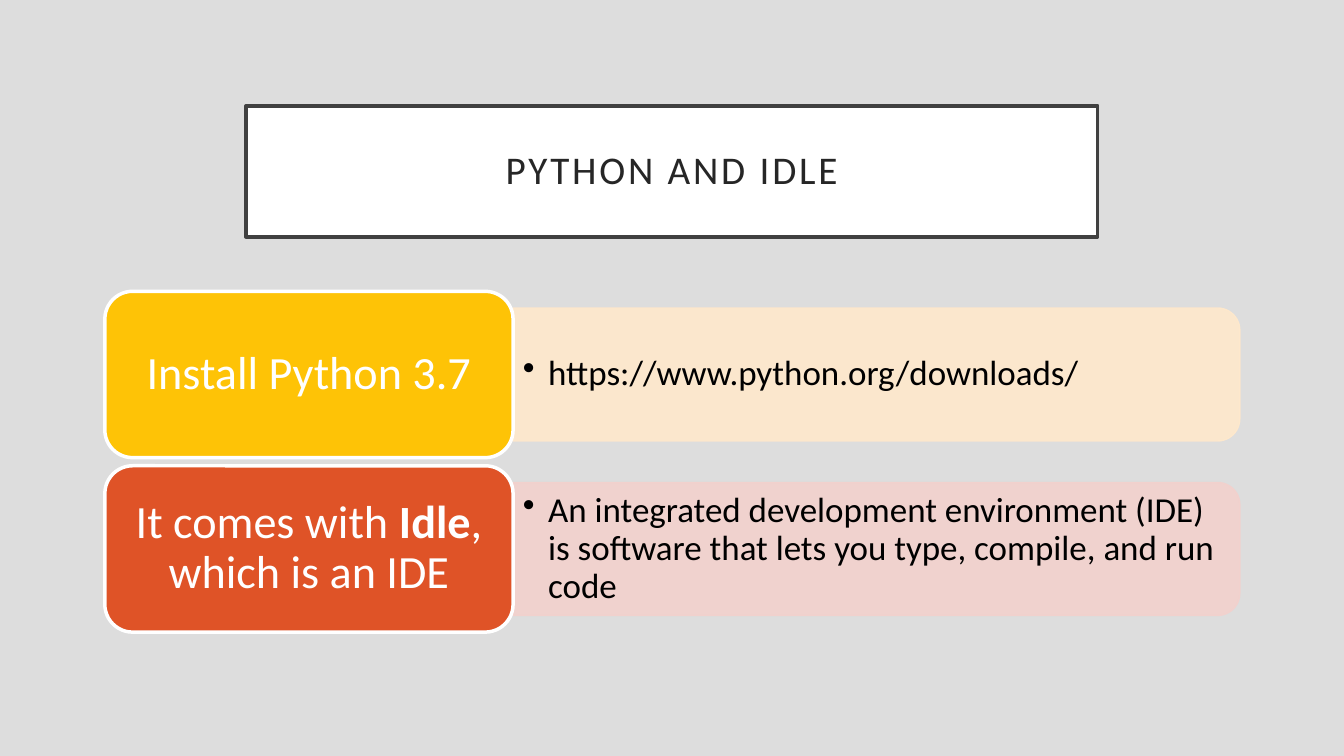
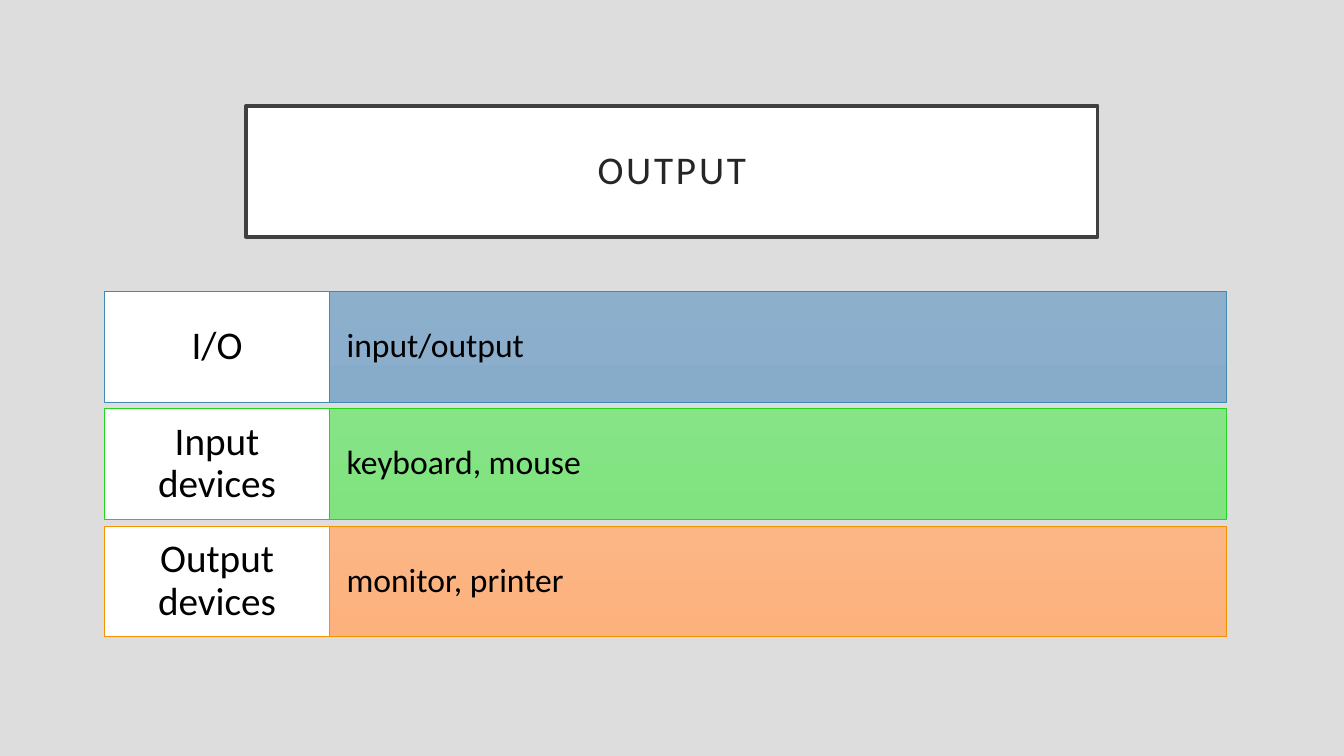
import pptx
import pptx.util
import pptx.dml.color
import pptx.enum.shapes
import pptx.enum.text
import pptx.oxml.ns
from lxml import etree

Pt = pptx.util.Pt
SHAPES = pptx.enum.shapes.MSO_SHAPE
ALIGN = pptx.enum.text.PP_ALIGN
FONT = "Calibri"
COLORS = {
    "page": "DDDDDD", "white": "FFFFFF", "black": "000000",
    "title_line": "404040", "title_text": "262626",
    "gold": "FEC306", "gold_pale": "FFE9CC",
    "red": "DF5327", "red_pale": "F3D1CD",
    "blue": "418AB3", "blue_top": "8CAFCB", "blue_bottom": "87ACCA",
    "green": "25D421", "green_top": "86E386", "green_bottom": "80E37F",
    "orange": "F69200", "orange_top": "FCB585", "orange_bottom": "FDB27E",
}
TITLE_BOX = (175.7, 75.6, 608.4, 93.6)
STEPS_BOX = (74.9, 208.1, 810.7, 243.4)
TERMS_BOX = (74.9, 208.1, 801, 246.8)


def rgb(name):
    return pptx.dml.color.RGBColor.from_string(COLORS[name])


def add_panel(page, kind, box, fill, line, weight):
    """Add a shape; a pair of colour names as fill gives a vertical gradient."""
    panel = page.shapes.add_shape(kind, *map(Pt, box))
    panel.shadow.inherit = False
    if isinstance(fill, tuple):
        panel.fill.gradient()
        panel.fill.gradient_angle = 270
        for stop, name in zip(panel.fill.gradient_stops, fill):
            stop.color.rgb = rgb(name)
    else:
        panel.fill.solid()
        panel.fill.fore_color.rgb = rgb(fill)
    panel.line.color.rgb = rgb(line)
    panel.line.width = Pt(weight)
    return panel


def write(shape, spans, size, color, insets, align=ALIGN.CENTER):
    """Write one paragraph from (text, bold) spans and return it."""
    frame = shape.text_frame
    frame.word_wrap = True
    frame.vertical_anchor = pptx.enum.text.MSO_ANCHOR.MIDDLE
    frame.margin_left = frame.margin_right = Pt(insets[0])
    frame.margin_top = frame.margin_bottom = Pt(insets[1])
    para = frame.paragraphs[0]
    para.alignment = align
    para.line_spacing = 0.9
    para.font.name = FONT
    para.font.size = Pt(size)
    para.font.color.rgb = rgb(color)
    for text, bold in spans:
        span = para.add_run()
        span.text = text
        if bold:
            span.font.bold = True
    return para


def add_bullet(para, indent):
    properties = para._p.get_or_add_pPr()
    properties.set("marL", str(Pt(indent)))
    properties.set("indent", str(-Pt(indent)))
    bullet = etree.Element(pptx.oxml.ns.qn("a:buChar"), char="•")
    properties.find(pptx.oxml.ns.qn("a:defRPr")).addprevious(bullet)


def add_page(deck, title):
    """Add a page with the shared background and framed title."""
    page = deck.slides.add_slide(deck.slide_layouts[6])
    page.background.fill.solid()
    page.background.fill.fore_color.rgb = rgb("page")
    frame = add_panel(page, SHAPES.RECTANGLE, TITLE_BOX, "white", "title_line", 2.5)
    para = write(frame, [(title, False)], 28, "title_text", (14.4, 14.4))
    para.runs[0]._r.get_or_add_rPr().set("spc", "200")
    return page


def add_detail_bar(page, box, text, color):
    """Bar with rounded right corners: a quarter-turned shape under its text."""
    left, top, width, height = box
    shift = (width - height) / 2
    bar = add_panel(page, SHAPES.ROUND_2_SAME_RECTANGLE,
                    (left + shift, top - shift, height, width), color, color, 1)
    bar.rotation = 90
    for solid in list(bar._element.spPr.iter(pptx.oxml.ns.qn("a:srgbClr"))):
        etree.SubElement(solid, pptx.oxml.ns.qn("a:alpha"), val="90000")
    caption = page.shapes.add_textbox(Pt(left), Pt(top + 4.6),
                                      Pt(width - 5), Pt(height - 9.2))
    add_bullet(write(caption, [(text, False)], 25, "black", (7.2, 3.6), ALIGN.LEFT), 18)


def add_steps(page, box, steps):
    """Rounded labels on the left, each with a detail bar on the right."""
    left, top, width, height = box
    gap, label_width, bar_height = 5.8, 291.6, 95
    row_height = (height - gap * (len(steps) - 1)) / len(steps)
    for index, (spans, detail, color) in enumerate(steps):
        row_top = top + index * (row_height + gap)
        bar_box = (left + label_width, row_top + (row_height - bar_height) / 2,
                   width - label_width, bar_height)
        add_detail_bar(page, bar_box, detail, color + "_pale")
        label = add_panel(page, SHAPES.ROUNDED_RECTANGLE,
                          (left, row_top, label_width, row_height), color, "white", 2.5)
        # The frame of a rounded shape already insets its text by about 6 pt
        write(label, spans, 33, "white", (10, 5))


def add_terms(page, box, terms):
    """Rows of a white term cell and a shaded meaning cell."""
    left, top, width, height = box
    gap, term_width = 4.6, 160.3
    row_height = (height - gap * (len(terms) - 1)) / len(terms)
    for index, (term, meaning, color) in enumerate(terms):
        row_top = top + index * (row_height + gap)
        body = add_panel(page, SHAPES.RECTANGLE,
                         (left + term_width, row_top, width - term_width, row_height),
                         (color + "_top", color + "_bottom"), color, 0.5)
        write(body, [(meaning, False)], 24, "black", (12.4, 20), ALIGN.LEFT)
        cell = add_panel(page, SHAPES.RECTANGLE,
                         (left, row_top, term_width, row_height), "white", color, 0.5)
        write(cell, [(term, False)], 28, "black", (8.6, 8))


deck = pptx.Presentation()
deck.slide_width, deck.slide_height = Pt(960), Pt(540)

# Installing Python
add_steps(add_page(deck, "PYTHON AND IDLE"), STEPS_BOX, [
    ([("Install Python 3.7", False)], "https://www.python.org/downloads/", "gold"),
    ([("It comes with ", False), ("Idle", True), (", which is an IDE", False)],
     "An integrated development environment (IDE) is software that lets you "
     "type, compile, and run code", "red"),
])

# Input and output terms
add_terms(add_page(deck, "OUTPUT"), TERMS_BOX, [
    ("I/O", "input/output", "blue"),
    ("Input devices", "keyboard, mouse", "green"),
    ("Output devices", "monitor, printer", "orange"),
])

deck.save("out.pptx")
